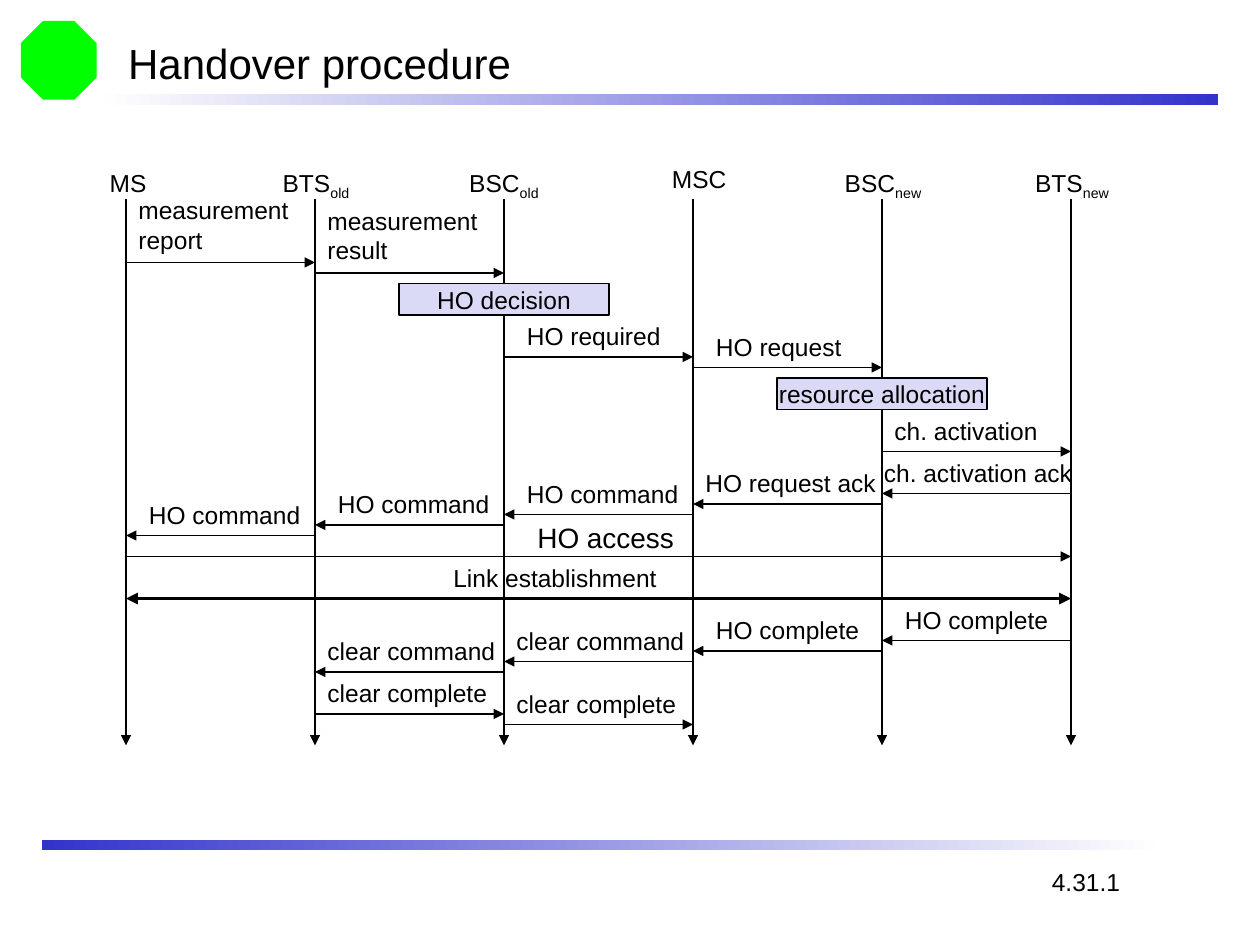
from lxml import etree
from pptx import Presentation
from pptx import util as u
from pptx.dml.color import RGBColor
from pptx.enum import shapes, text
from pptx.oxml.ns import qn

BLACK = RGBColor(0x00, 0x00, 0x00)
BLUE = RGBColor(0x33, 0x33, 0xCC)
NEAR_WHITE = RGBColor(0xFE, 0xFE, 0xFE)
LAVENDER = RGBColor(0xDA, 0xDA, 0xF6)
GREEN = RGBColor(0x00, 0xFF, 0x00)

COLUMNS, ROWS = 120, 90
LANE_TOP, LANE_END = 19, 71

# name, subscript, label width, shift from the lane, top row
STATIONS = [
    ("MS", "", 6.4, 0.2, 15.4),
    ("BTS", "old", 9.4, 0.1, 15.4),
    ("BSC", "old", 9.6, 0, 15.4),
    ("MSC", "", 8.2, 0.6, 15),
    ("BSC", "new", 10.4, 0.1, 15.4),
    ("BTS", "new", 10.2, 0.1, 15.4),
]

# label, sending lane, receiving lane, row, label shift, label width
MESSAGES = [
    ("measurement\nreport", 0, 1, 25, 0, 17.2),
    ("measurement\nresult", 1, 2, 26, 0, 17.2),
    ("HO required", 2, 3, 34, 1, 15.6),
    ("HO request", 3, 4, 35, 1, 14.8),
    ("ch. activation", 4, 5, 43, 0, 16.6),
    ("ch. activation ack", 5, 4, 47, -1, 20.9),
    ("HO request ack", 4, 3, 48, 0, 19.2),
    ("HO command", 3, 2, 49, 1, 17.3),
    ("HO command", 2, 1, 50, 1, 17.3),
    ("HO command", 1, 0, 51, 1, 17.3),
    ("HO complete", 5, 4, 61, 1, 16.6),
    ("HO complete", 4, 3, 62, 1, 16.6),
    ("clear command", 3, 2, 63, 0, 18.9),
    ("clear command", 2, 1, 64, 0, 18.9),
    ("clear complete", 1, 2, 68, 0, 18.1),
    ("clear complete", 2, 3, 69, 0, 18.1),
]


def lane_x(lane):
    return 12 + 18 * lane


def write(frame, content, size=14, subscript="", align=text.PP_ALIGN.LEFT,
          anchor=text.MSO_ANCHOR.TOP, wrap=False, fit=text.MSO_AUTO_SIZE.NONE):
    frame.word_wrap = wrap
    frame.auto_size = fit
    frame.vertical_anchor = anchor
    for number, line in enumerate(content.split("\n")):
        para = frame.add_paragraph() if number else frame.paragraphs[0]
        para.alignment = align
        for part in filter(None, (line, subscript)):
            span = para.add_run()
            span.text = part
            span.font.name = "Arial"
            span.font.size = u.Pt(size)
            span.font.color.rgb = BLACK
            if part == subscript:
                span.font._rPr.set("baseline", "-25000")


class Diagram:
    """Draws on one slide, with lengths in columns and rows of the grid."""

    def __init__(self, deck):
        self.deck = deck
        self.page = deck.slides.add_slide(deck.slide_layouts[5])

    def frame(self, left, top, width, height):
        across = self.deck.slide_width / COLUMNS
        down = self.deck.slide_height / ROWS
        return [round(n) for n in (left * across, top * down,
                                   width * across, height * down)]

    def title(self, content, *place):
        holder = self.page.shapes.title
        holder.left, holder.top, holder.width, holder.height = self.frame(*place)
        write(holder.text_frame, content, size=24, wrap=True,
              anchor=text.MSO_ANCHOR.MIDDLE)

    def shape(self, kind, *place):
        shape = self.page.shapes.add_shape(kind, *self.frame(*place))
        shape.shadow.inherit = False
        shape.line.fill.background()
        return shape

    def emblem(self, *place):
        shape = self.shape(shapes.MSO_SHAPE.OCTAGON, *place)
        shape.fill.solid()
        shape.fill.fore_color.rgb = GREEN

    def bar(self, left, top, right_color, left_color):
        bar = self.shape(shapes.MSO_SHAPE.RECTANGLE, left, top, 106, 1)
        bar.fill.gradient()
        bar.fill.gradient_angle = 180
        for stop, color in zip(bar.fill.gradient_stops, (right_color, left_color)):
            stop.color.rgb = color

    def label(self, content, left, top, width, **style):
        height = 6.8 if "\n" in content else 4.1
        box = self.page.shapes.add_textbox(*self.frame(left, top, width, height))
        write(box.text_frame, content, **style)

    def arrow(self, x1, y1, x2, y2, weight=0.75, both=False):
        line = self.page.shapes.add_connector(
            shapes.MSO_CONNECTOR.STRAIGHT, *self.frame(x1, y1, x2, y2))
        line.line.color.rgb = BLACK
        line.line.width = u.Pt(weight)
        ends = ("a:headEnd", "a:tailEnd") if both else ("a:tailEnd",)
        for end in ends:
            etree.SubElement(line.line._get_or_add_ln(), qn(end), type="triangle")
        etree.SubElement(line._element.spPr, qn("a:effectLst"))

    def message(self, content, start, end, row, shift, width, size=14, **line):
        self.arrow(lane_x(start), row, lane_x(end), row, **line)
        rise = 7 if "\n" in content else 4
        self.label(content, lane_x(min(start, end)) + shift, row - rise, width,
                   size=size)

    def action(self, content, lane, row):
        box = self.shape(shapes.MSO_SHAPE.RECTANGLE, lane_x(lane) - 10, row, 20, 3)
        box.fill.solid()
        box.fill.fore_color.rgb = LAVENDER
        box.line.color.rgb = BLACK
        box.line.width = u.Pt(0.75)
        write(box.text_frame, content, align=text.PP_ALIGN.CENTER,
              anchor=text.MSO_ANCHOR.MIDDLE)


def main():
    deck = Presentation()
    deck.slide_width, deck.slide_height = u.Inches(10), u.Inches(7.5)
    diagram = Diagram(deck)

    diagram.emblem(2, 2, 7.2, 7.5)
    diagram.bar(10, 9, BLUE, NEAR_WHITE)
    diagram.bar(4, 80, NEAR_WHITE, BLUE)
    diagram.title("Handover procedure", 11, 3, 102, 6)

    for lane, (name, subscript, width, shift, top) in enumerate(STATIONS):
        x = lane_x(lane)
        diagram.arrow(x, LANE_TOP, x, LANE_END)
        diagram.label(name, x + shift - width / 2, top, width,
                      subscript=subscript, align=text.PP_ALIGN.CENTER)

    diagram.action("HO decision", 2, 27)
    diagram.action("resource allocation", 4, 36)
    for message in MESSAGES:
        diagram.message(*message)
    diagram.message("HO access", 0, 5, 53, 38, 16, size=16)
    diagram.message("Link establishment", 0, 5, 57, 30, 22.3,
                    weight=2.25, both=True)
    diagram.label("4.31.1", 99, 82, 9.4)

    deck.save("out.pptx")


if __name__ == "__main__":
    main()
